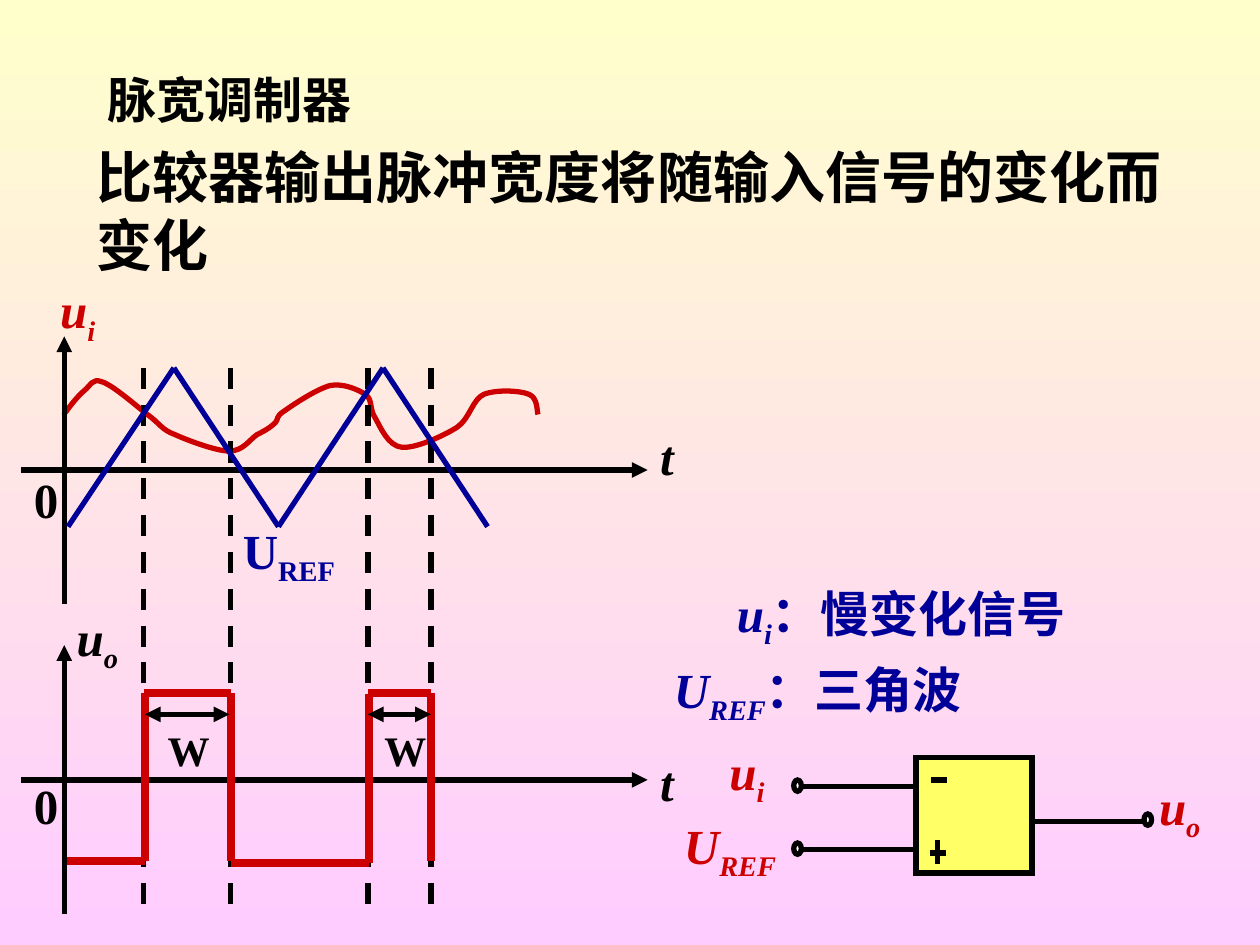
from pptx import Presentation
from pptx.dml.color import RGBColor
from pptx.enum.dml import MSO_LINE
from pptx.enum.shapes import MSO_CONNECTOR, MSO_SHAPE
from pptx.enum.text import MSO_ANCHOR, MSO_AUTO_SIZE, PP_ALIGN
from pptx.oxml.ns import qn
from pptx.util import Pt
from lxml import etree

PX = 9144
DASH = MSO_LINE.DASH
STRAIGHT = MSO_CONNECTOR.STRAIGHT
OVAL = MSO_SHAPE.OVAL
RECTANGLE = MSO_SHAPE.RECTANGLE
TOP = MSO_ANCHOR.TOP
NO_FIT = MSO_AUTO_SIZE.NONE
LEFT = PP_ALIGN.LEFT

BLACK = RGBColor(0x00, 0x00, 0x00)
WHITE = RGBColor(0xFF, 0xFF, 0xFF)
RED = RGBColor(0xCC, 0x00, 0x00)
BLUE = RGBColor(0x00, 0x00, 0x99)
YELLOW = RGBColor(0xFF, 0xFF, 0x66)
CREAM = RGBColor(0xFF, 0xFF, 0xCC)
PINK = RGBColor(0xFF, 0xCC, 0xFF)
SERIF = "Times New Roman"
SANS = "Noto Sans CJK SC"
SANS_WIDE = "Noto Sans CJK JP"

deck = Presentation()
deck.slide_width = 1000 * PX
deck.slide_height = 750 * PX
page = deck.slides.add_slide(deck.slide_layouts[5])
backdrop = page.background.fill
backdrop.gradient()
backdrop.gradient_angle = 270
for stop, colour in zip(backdrop.gradient_stops, (CREAM, PINK)):
    stop.color.rgb = colour


def draw_line(x1, y1, x2, y2, colour=BLACK, width=3, dash=None, arrows=()):
    line = page.shapes.add_connector(STRAIGHT, x1 * PX, y1 * PX, x2 * PX, y2 * PX)
    line.line.color.rgb = colour
    line.line.width = Pt(width)
    if dash:
        line.line.dash_style = dash
    outline = line._element.spPr.find(qn("a:ln"))
    for end in arrows:
        etree.SubElement(outline, qn(f"a:{end}"), type="triangle")
    etree.SubElement(line._element.spPr, qn("a:effectLst"))


def write(box, base, sub="", rest="", colour=BLACK, size=28, italic=False,
          font=SERIF, asian=SANS):
    frame = box.text_frame
    frame.word_wrap = True
    frame.auto_size = NO_FIT
    frame.vertical_anchor = TOP
    para = frame.paragraphs[0]
    para.alignment = LEFT
    para.line_spacing = Pt(round(size * (1.37 if sub else 1.21), 1))
    for text, slanted, lowered in ((base, italic, False), (sub, italic, True), (rest, False, False)):
        if not text:
            continue
        span = para.add_run()
        span.text = text
        span.font.size = Pt(size)
        span.font.bold = True
        span.font.italic = slanted
        span.font.color.rgb = colour
        span.font.name = font
        properties = span._r.get_or_add_rPr()
        etree.SubElement(properties, qn("a:ea"), typeface=asian)
        if lowered:
            properties.set("baseline", "-25000")


title = page.shapes.title
title.left, title.top, title.width, title.height = 75 * PX, 50 * PX, 267 * PX, 57 * PX
write(title, "脉宽调制器", font=SANS)

summary = page.shapes.add_textbox(67 * PX, 108 * PX, 900 * PX, 117 * PX)
write(summary, "比较器输出脉冲宽度将随输入信号的变化而变化", size=32, font=SANS_WIDE, asian=SANS_WIDE)

signal_curve = [
    (53, 329), (51, 329), (50, 329), (53, 326), (55, 323), (62, 314), (67, 310),
    (72, 306), (73, 300), (81, 303), (90, 306), (108, 322), (117, 329),
    (127, 336), (128, 341), (139, 345), (150, 350), (172, 358), (182, 358),
    (193, 358), (198, 349), (204, 345), (210, 342), (215, 339), (218, 336),
    (222, 332), (218, 331), (226, 326), (233, 321), (251, 309), (262, 306),
    (272, 304), (284, 309), (290, 313), (296, 317), (293, 325), (298, 332),
    (302, 339), (308, 354), (319, 355), (330, 356), (352, 346), (363, 339),
    (373, 332), (375, 317), (384, 313), (394, 309), (413, 310), (420, 313),
    (427, 316), (426, 326), (427, 329),
]
builder = page.shapes.build_freeform(*signal_curve[0], scale=PX)
builder.add_line_segments(signal_curve[1:], close=False)
curve = builder.convert_to_shape()
curve.shadow.inherit = False
curve.fill.background()
curve.line.color.rgb = RED
curve.line.width = Pt(3)
outline = next(curve._element.iter(qn("a:path")))
segments = outline.findall(qn("a:lnTo"))
for start in range(0, len(segments), 3):
    bend = etree.SubElement(outline, qn("a:cubicBezTo"))
    for segment in segments[start:start + 3]:
        bend.append(segment[0])
        outline.remove(segment)

for x in (114, 183, 292, 342):
    draw_line(x, 292, x, 725, dash=DASH)

for time_y, bottom, top in ((373, 479, 267), (619, 725, 512)):
    draw_line(17, time_y, 514, time_y, arrows=["tailEnd"])
    draw_line(51, bottom, 51, top, arrows=["tailEnd"])

for pulse_line in (
    (53, 683, 115, 683), (115, 550, 115, 683), (114, 550, 183, 550),
    (183, 683, 183, 550), (183, 685, 293, 685), (293, 551, 293, 685),
    (292, 550, 342, 550), (342, 683, 342, 550),
):
    draw_line(*pulse_line, colour=RED, width=4.5)

for valley, peak in ((54, 138), (221, 138), (221, 304), (387, 304)):
    draw_line(valley, 418, peak, 292, colour=BLUE)

for left, right, label_x in ((115, 182, 133), (292, 342, 305)):
    draw_line(left, 567, right, 567, arrows=["headEnd", "tailEnd"])
    width_label = page.shapes.add_textbox(label_x * PX, 575 * PX, 33 * PX, 40 * PX)
    write(width_label, "W", size=24)
    frame = width_label.text_frame
    frame.word_wrap = False
    frame.margin_left = frame.margin_right = frame.margin_top = frame.margin_bottom = 0

comparator = page.shapes.add_shape(RECTANGLE, 727 * PX, 601 * PX, 92 * PX, 92 * PX)
for wire in (
    (913, 652, 819, 652), (631, 624, 725, 624), (631, 674, 725, 674),
    (738, 677, 751, 677), (744, 667, 744, 686), (739, 619, 752, 619),
):
    draw_line(*wire)
terminals = [page.shapes.add_shape(OVAL, x * PX, y * PX, 6 * PX, 9 * PX)
             for x, y in ((908, 646), (630, 619), (630, 669))]
for part, colour in [(comparator, YELLOW)] + [(terminal, WHITE) for terminal in terminals]:
    part.shadow.inherit = False
    part.fill.solid()
    part.fill.fore_color.rgb = colour
    part.line.color.rgb = BLACK
    part.line.width = Pt(3)
    etree.SubElement(part._element.spPr.find(qn("a:ln")), qn("a:miter"), lim="800000")

for x, y, width, height, base, sub, rest, colour, italic in (
    (38, 217, 50, 63, "u", "i", "", RED, True),
    (514, 333, 53, 57, "t", "", "", BLACK, True),
    (51, 477, 91, 63, "u", "o", "", BLACK, True),
    (514, 592, 53, 57, "t", "", "", BLACK, True),
    (17, 367, 58, 57, "0", "", "", BLACK, False),
    (17, 610, 58, 57, "0", "", "", BLACK, False),
    (183, 408, 117, 63, "U", "REF", "", BLUE, False),
    (910, 611, 65, 45, "u", "o", "", RED, True),
    (569, 583, 65, 45, "u", "i", "", RED, True),
    (533, 642, 109, 45, "U", "REF", "", RED, True),
    (525, 518, 267, 63, "U", "REF", "：三角波", BLUE, True),
    (575, 458, 333, 63, "u", "i", "：慢变化信号", BLUE, True),
):
    label = page.shapes.add_textbox(x * PX, y * PX, width * PX, height * PX)
    write(label, base, sub, rest, colour, italic=italic)

deck.save("out.pptx")
